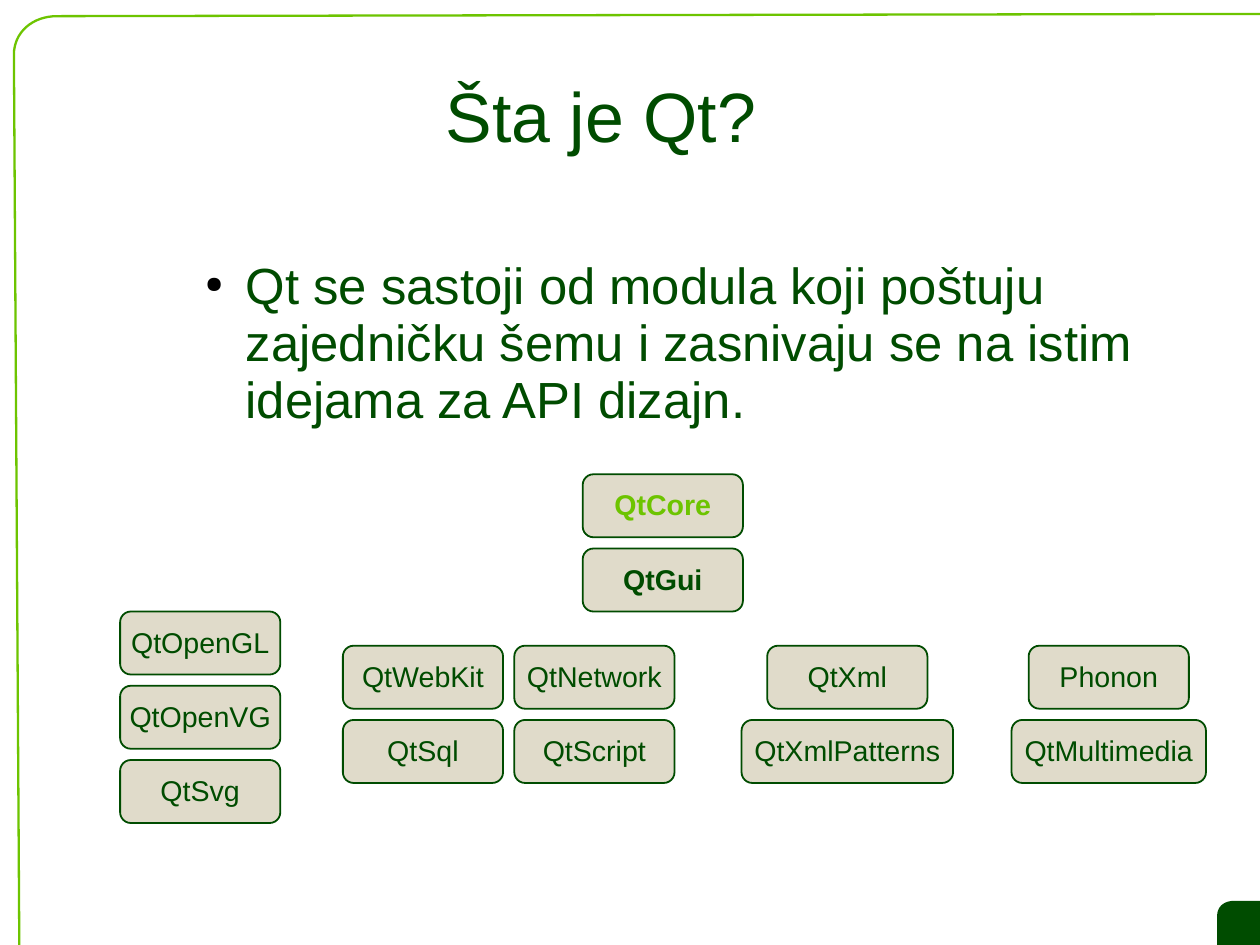
"""Build the slide that introduces the Qt modules."""
from lxml import etree
from pptx import Presentation, util as u
from pptx.dml.color import RGBColor
from pptx.enum import shapes, text
from pptx.oxml.ns import qn

COLORS = {"dark": "004C00", "lime": "6DC400", "sand": "E0DBCA", "bullet": "000000"}


def write(sp, content, size, insets, color="dark", bold=False, align=text.PP_ALIGN.CENTER):
    tf = sp.text_frame
    tf.margin_left, tf.margin_top, tf.margin_right, tf.margin_bottom = map(u.Cm, insets)
    tf.text = content
    p = tf.paragraphs[0]
    p.alignment = align
    p.line_spacing = 0.93
    f = p.runs[0].font
    f.name, f.size, f.bold = "Arial", u.Pt(size), bold
    f.color.rgb = RGBColor.from_string(COLORS[color])
    return tf


def outline(s, start, curve, end, closed):
    a, b, c, d = curve
    steps = [i / 16 for i in range(17)]
    bend = [tuple((1 - t) ** 3 * a[k] + 3 * t * (1 - t) ** 2 * b[k]
                  + 3 * t * t * (1 - t) * c[k] + t ** 3 * d[k] for k in (0, 1))
            for t in steps]
    fb = s.shapes.build_freeform(u.Cm(start[0]), u.Cm(start[1]))
    fb.add_line_segments([(u.Cm(x), u.Cm(y)) for x, y in bend + end], close=closed)
    sp = fb.convert_to_shape()
    sp.shadow.inherit = False
    return sp


prs = Presentation()
prs.slide_width, prs.slide_height = u.Cm(28), u.Cm(21)
s = prs.slides.add_slide(prs.slide_layouts[6])

corner = outline(s, (28, 20.02), [(27.43, 20.02), (27.2, 20.02), (27.05, 20.15), (27.05, 20.35)],
                 [(27.05, 21), (28, 21)], True)
corner.fill.solid()
corner.fill.fore_color.rgb = RGBColor.from_string(COLORS["dark"])
corner.line.fill.background()

frame = outline(s, (28, 0.31), [(1.27, 0.36), (0.72, 0.36), (0.31, 0.72), (0.31, 1.22)],
                [(0.43, 21)], False)
frame.fill.background()
frame.line.color.rgb = RGBColor.from_string(COLORS["lime"])
frame.line.width = u.Pt(1.45)

title = s.shapes.add_textbox(u.Cm(4.27), u.Cm(0.84), u.Cm(18.19), u.Cm(3.5))
tf = write(title, "Šta je Qt?", 44, (0, 0.1, 0, 0))
tf.word_wrap = True
tf.vertical_anchor = text.MSO_ANCHOR.MIDDLE

body = s.shapes.add_textbox(u.Cm(4.27), u.Cm(5.69), u.Cm(22.33), u.Cm(12.93))
tf = write(body, "Qt se sastoji od modula koji poštuju zajedničku šemu i zasnivaju se "
           "na istim idejama za API dizajn.", 32, (0, 0.08, 0, 0), align=text.PP_ALIGN.LEFT)
tf.word_wrap = True
p = tf.paragraphs[0]
p.space_after = u.Pt(14.3)
pPr = p._p.get_or_add_pPr()
pPr.set("marL", str(u.Cm(1.19)))
pPr.set("indent", str(u.Cm(-0.9)))
bu_color = etree.SubElement(pPr, qn("a:buClr"))
etree.SubElement(bu_color, qn("a:srgbClr"), val=COLORS["bullet"])
etree.SubElement(pPr, qn("a:buSzPct"), val="45000")
etree.SubElement(pPr, qn("a:buChar"), char="●")

BOX_W, BOX_H, PITCH = 3.56, 1.4, 1.65
wide = {"QtXmlPatterns": 4.7, "QtMultimedia": 4.32}
emphasis = {"QtCore": "lime", "QtGui": "dark"}
columns = [
    (14.73, 10.54, ["QtCore", "QtGui"]),
    (4.45, 13.59, ["QtOpenGL", "QtOpenVG", "QtSvg"]),
    (9.4, 14.35, ["QtWebKit", "QtSql"]),
    (13.21, 14.35, ["QtNetwork", "QtScript"]),
    (18.83, 14.35, ["QtXml", "QtXmlPatterns"]),
    (24.64, 14.35, ["Phonon", "QtMultimedia"]),
]
for center, top, modules in columns:
    for row, module in enumerate(modules):
        w = wide.get(module, BOX_W)
        sp = s.shapes.add_shape(shapes.MSO_SHAPE.ROUNDED_RECTANGLE, u.Cm(center - w / 2),
                                u.Cm(top + row * PITCH), u.Cm(w), u.Cm(BOX_H))
        sp.shadow.inherit = False
        sp.adjustments[0] = 0.17
        sp.fill.solid()
        sp.fill.fore_color.rgb = RGBColor.from_string(COLORS["sand"])
        sp.line.color.rgb = RGBColor.from_string(COLORS["dark"])
        sp.line.width = u.Pt(1.13)
        tf = write(sp, module, 18, (0.28, 0.18, 0.28, 0.15),
                   emphasis.get(module, "dark"), module in emphasis)
        tf.word_wrap = False
        tf.vertical_anchor = text.MSO_ANCHOR.MIDDLE

prs.save("out.pptx")
